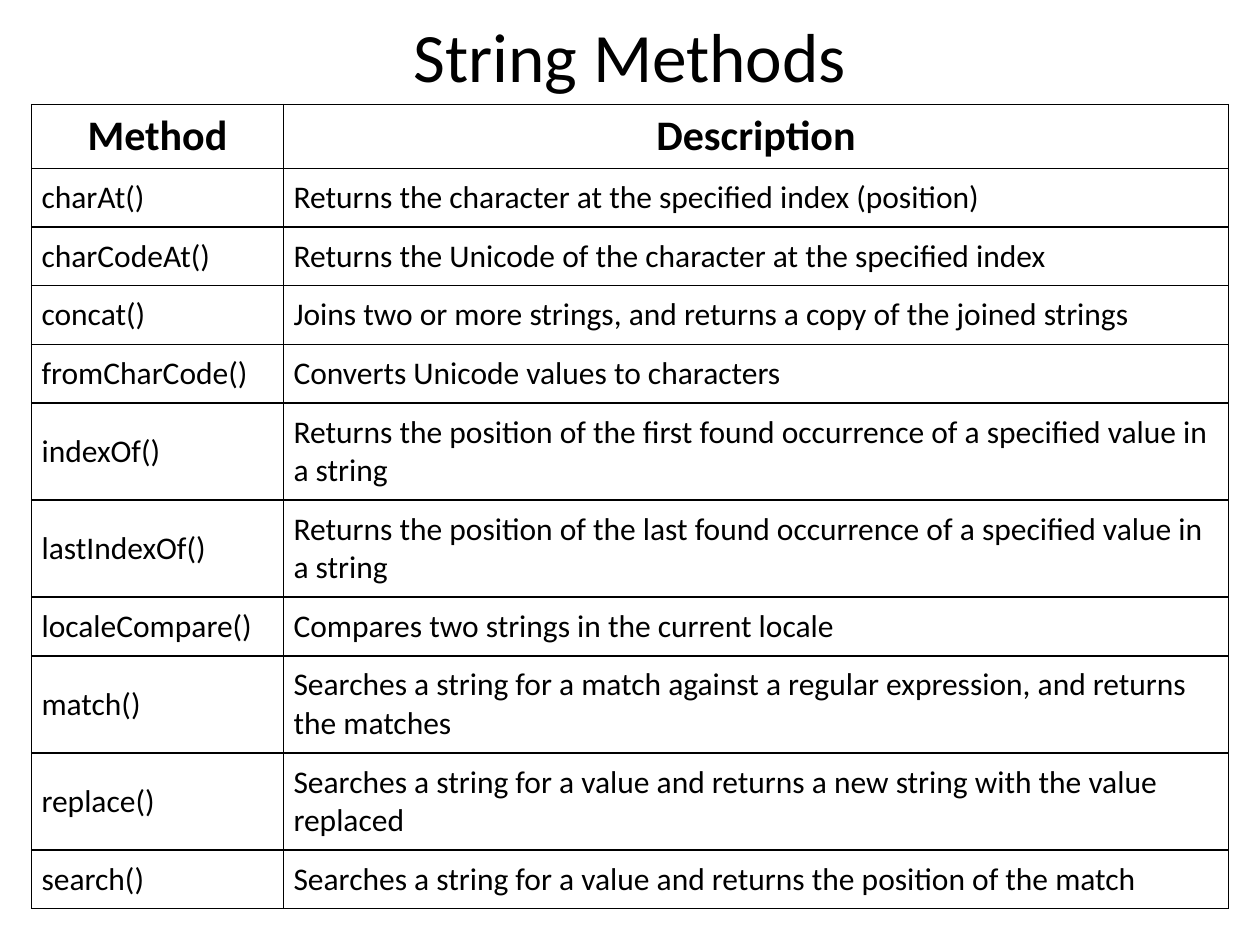
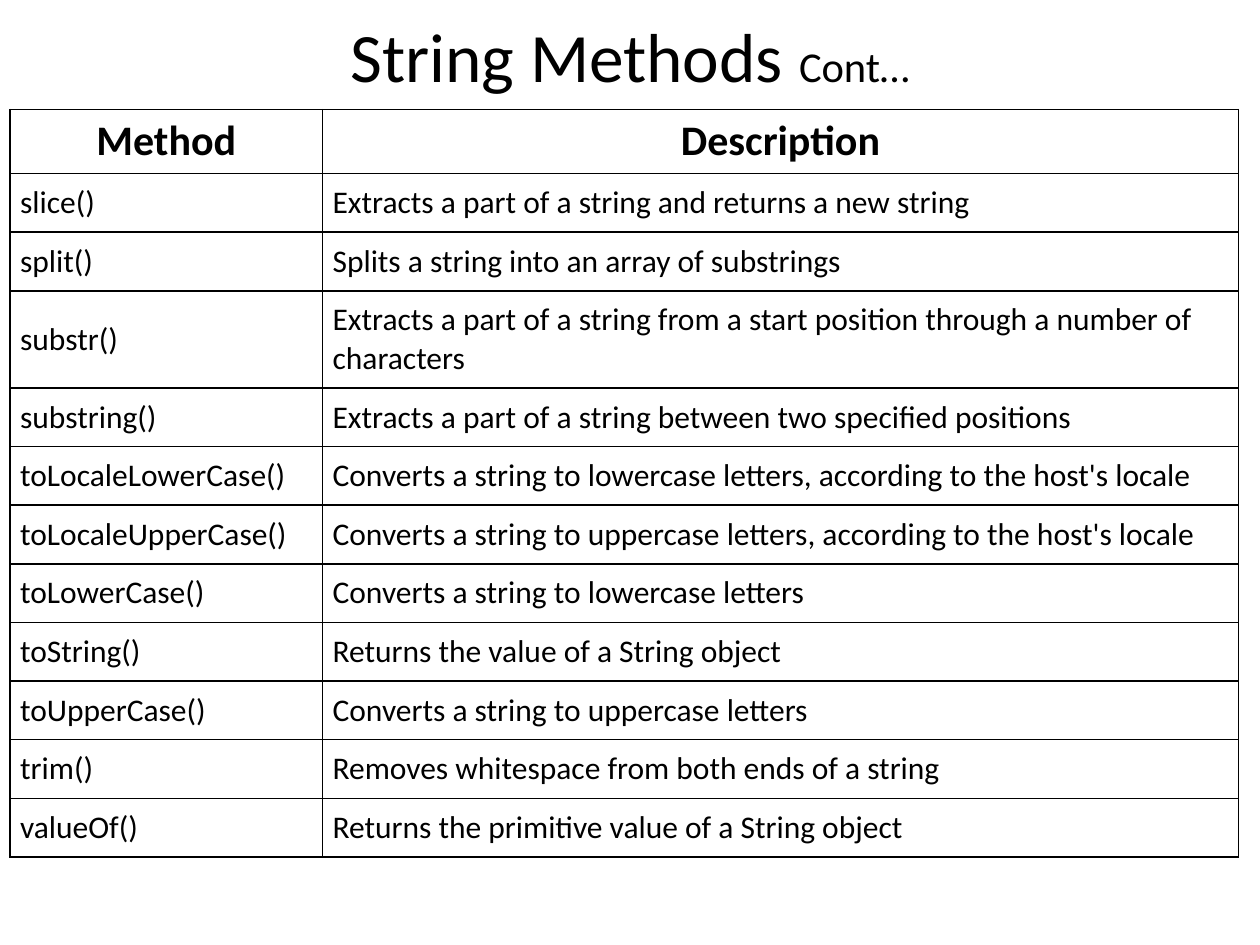
from lxml.etree import SubElement
from pptx import Presentation
from pptx.dml.color import RGBColor
from pptx.enum.text import MSO_ANCHOR as Anchor, MSO_AUTO_SIZE as Fit, PP_ALIGN as Align
from pptx.oxml.ns import qn
from pptx.util import Inches, Pt

BLACK = RGBColor(0, 0, 0)
FONT = "Calibri"
ROW = Inches(0.41)
PAD = Inches(0.08)

HEAD = ("Method", "Description")
BASIC = [
    ("charAt()", "Returns the character at the specified index (position)"),
    ("charCodeAt()", "Returns the Unicode of the character at the specified index"),
    ("concat()", "Joins two or more strings, and returns a copy of the joined strings"),
    ("fromCharCode()", "Converts Unicode values to characters"),
    ("indexOf()", "Returns the position of the first found occurrence of a specified value in a string"),
    ("lastIndexOf()", "Returns the position of the last found occurrence of a specified value in a string"),
    ("localeCompare()", "Compares two strings in the current locale"),
    ("match()", "Searches a string for a match against a regular expression, and returns the matches"),
    ("replace()", "Searches a string for a value and returns a new string with the value replaced"),
    ("search()", "Searches a string for a value and returns the position of the match"),
]
MORE = [
    ("slice()", "Extracts a part of a string and returns a new string"),
    ("split()", "Splits a string into an array of substrings"),
    ("substr()", "Extracts a part of a string from a start position through a number of characters"),
    ("substring()", "Extracts a part of a string between two specified positions"),
    ("toLocaleLowerCase()", "Converts a string to lowercase letters, according to the host's locale"),
    ("toLocaleUpperCase()", "Converts a string to uppercase letters, according to the host's locale"),
    ("toLowerCase()", "Converts a string to lowercase letters"),
    ("toString()", "Returns the value of a String object"),
    ("toUpperCase()", "Converts a string to uppercase letters"),
    ("trim()", "Removes whitespace from both ends of a string"),
    ("valueOf()", "Returns the primitive value of a String object"),
]


def set_font(font, size, bold=False):
    font.name, font.size, font.bold = FONT, Pt(size), bold
    font.color.rgb = BLACK


def add_title(slide, text, note=""):
    """Fill the title; the note follows in smaller type."""
    title = slide.shapes.title
    title.left, title.top = Inches(0.5), Inches(0)
    title.width, title.height = Inches(9), Inches(0.87)
    frame = title.text_frame
    frame.auto_size = Fit.NONE
    frame.vertical_anchor = Anchor.MIDDLE
    para = frame.paragraphs[0]
    para.alignment = Align.CENTER
    para.add_run().text = text
    set_font(para.font, 39.6)
    if note:
        run = para.add_run()
        run.text = note
        run.font.size = Pt(24.3)


def add_border(cell):
    props = cell._tc.get_or_add_tcPr()
    for side in ("lnL", "lnR", "lnT", "lnB"):
        line = SubElement(props, qn(f"a:{side}"), w=str(Pt(1)))
        fill = SubElement(line, qn("a:solidFill"))
        SubElement(fill, qn("a:srgbClr"), val=str(BLACK))


def fill_cell(cell, text, head):
    cell.text = text
    para = cell.text_frame.paragraphs[0]
    add_border(cell)
    cell.fill.background()
    if head:
        para.alignment = Align.CENTER
        set_font(para.font, 24, True)
    else:
        cell.vertical_anchor = Anchor.MIDDLE
        cell.margin_left = cell.margin_right = PAD
        cell.margin_top = cell.margin_bottom = PAD
        set_font(para.font, 18)


def add_methods(slide, rows, left, top, widths, height):
    """Draw the method table; rows grow to fit their text."""
    rows = [HEAD] + rows
    frame = slide.shapes.add_table(
        len(rows), len(HEAD), Inches(left), Inches(top),
        Inches(sum(widths)), ROW * len(rows))
    table = frame.table
    table.first_row = table.horz_banding = False
    for col, width in zip(table.columns, widths):
        col.width = Inches(width)
    for i, row in enumerate(rows):
        for j, text in enumerate(row):
            fill_cell(table.cell(i, j), text, i == 0)
    frame.height = Inches(height)


def main():
    deck = Presentation()
    deck.slide_width, deck.slide_height = Inches(10), Inches(7.5)
    layout = deck.slide_layouts[5]

    slide = deck.slides.add_slide(layout)
    add_title(slide, "String Methods")
    add_methods(slide, BASIC, 0.25, 0.83, (2, 7.5), 6.37)

    slide = deck.slides.add_slide(layout)
    add_title(slide, "String Methods ", "Cont…")
    add_methods(slide, MORE, 0.08, 0.87, (2.48, 7.27), 5.93)

    deck.save("out.pptx")


if __name__ == "__main__":
    main()
